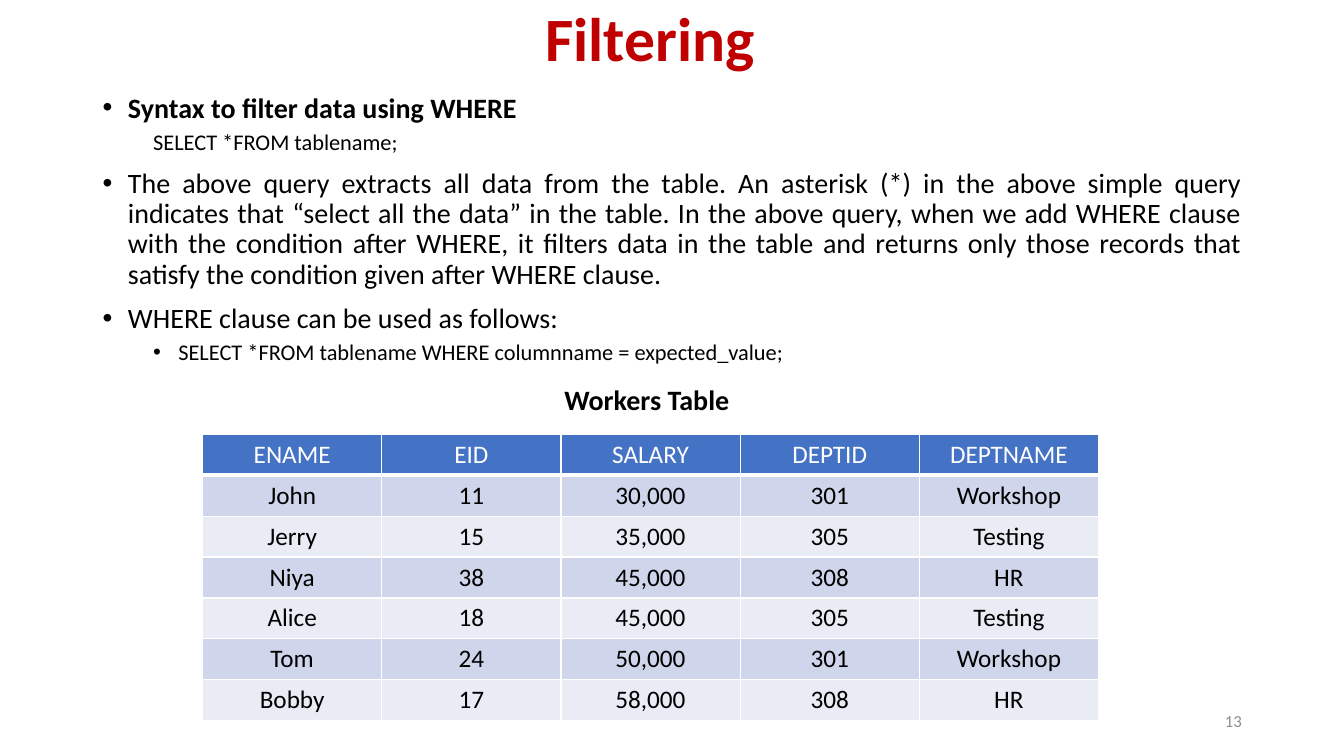
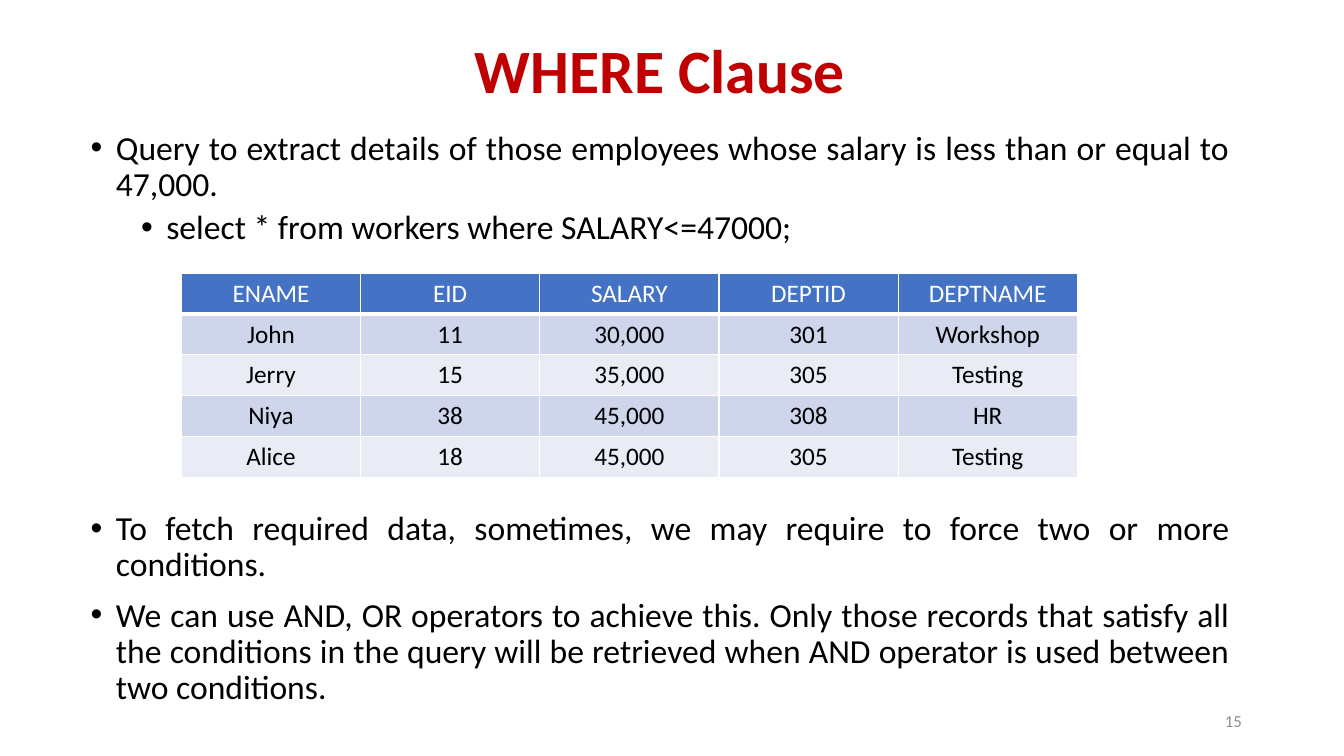
from dataclasses import dataclass

from lxml import etree
from pptx import Presentation
from pptx.dml.color import RGBColor
from pptx.enum.text import MSO_ANCHOR, MSO_AUTO_SIZE, PP_ALIGN
from pptx.oxml.ns import qn
from pptx.util import Pt

LEFT, CENTER, RIGHT = PP_ALIGN.LEFT, PP_ALIGN.CENTER, PP_ALIGN.RIGHT
JUSTIFY = PP_ALIGN.JUSTIFY
TOP, MIDDLE = MSO_ANCHOR.TOP, MSO_ANCHOR.MIDDLE
NO_FIT = MSO_AUTO_SIZE.NONE


# Theme
@dataclass(frozen=True)
class Theme:
    font: str = "Calibri"
    red: str = "C00000"
    ink: str = "000000"
    gray: str = "8C8C8C"
    white: str = "FFFFFF"
    head: str = "4472C4"
    bands: tuple = ("CFD5EA", "E9EBF5")
    title: int = 44
    large: int = 24
    text: int = 20
    cell: int = 18
    code: int = 16
    small: int = 12


THEME = Theme()


# Text and XML helpers
def set_mark(par, left, hang, mark):
    """Set the indent and bullet of a paragraph."""
    props = par._p.get_or_add_pPr()
    props.set("marL", str(Pt(left)))
    props.set("indent", str(Pt(-hang)))
    if mark:
        etree.SubElement(props, qn("a:buFont"), typeface="Arial")
        etree.SubElement(props, qn("a:buChar"), char="•")
    else:
        etree.SubElement(props, qn("a:buNone"))


def write(par, text, size=THEME.text, color=THEME.ink, bold=False,
          align=LEFT, line=None, before=0):
    par.alignment = align
    par.space_before = Pt(before)
    if line:
        par.line_spacing = line
    run = par.add_run()
    run.text = text
    font = run.font
    font.name, font.size, font.bold = THEME.font, Pt(size), bold
    font.color.rgb = RGBColor.from_string(color)


def set_edge(cell, side, width):
    props = cell._tc.get_or_add_tcPr()
    edge = etree.SubElement(props, qn(f"a:ln{side}"), w=str(Pt(width)))
    fill = etree.SubElement(edge, qn("a:solidFill"))
    etree.SubElement(fill, qn("a:srgbClr"), val=THEME.white)


def place(shape, left, top, width, height):
    shape.left, shape.top = Pt(left), Pt(top)
    shape.width, shape.height = Pt(width), Pt(height)


class Deck:
    WIDE = 828    # width of title and body
    COL, ROW = 128, 29.2
    STEP = 18     # indent unit

    def __init__(self):
        self.prs = Presentation()
        self.prs.slide_width, self.prs.slide_height = Pt(960), Pt(540)
        self.slide = None

    def start(self, title, left, top, number):
        self.slide = self.prs.slides.add_slide(self.prs.slide_layouts[1])
        shape = self.slide.shapes.title
        place(shape, left, top, self.WIDE, 104.4)
        frame = shape.text_frame
        frame.auto_size, frame.vertical_anchor = NO_FIT, MIDDLE
        write(frame.paragraphs[0], title, size=THEME.title, color=THEME.red,
              bold=True, align=CENTER, line=0.9)
        self.label(number, 678.2, 500.4, 216, 28.8, anchor=MIDDLE,
                   size=THEME.small, color=THEME.gray, align=RIGHT)

    def body(self, left, top, items):
        """Fill the body with (text, level, format) items."""
        shape = self.slide.placeholders[1]
        place(shape, left, top, self.WIDE, 342.7)
        frame = shape.text_frame
        frame.auto_size, frame.vertical_anchor = NO_FIT, TOP
        for i, (text, level, form) in enumerate(items):
            par = frame.add_paragraph() if i else frame.paragraphs[0]
            par.level = level
            form = {"before": 5 if level else 10, **form}
            if not i:
                form["before"] = 0
            mark = form.pop("mark", True)
            hang = self.STEP if mark else 0
            set_mark(par, self.STEP * 2 * level + hang, hang, mark)
            write(par, text, line=0.9, **form)

    def label(self, text, left, top, width, height, anchor=TOP, **form):
        box = self.slide.shapes.add_textbox(
            Pt(left), Pt(top), Pt(width), Pt(height))
        box.text_frame.word_wrap = True
        box.text_frame.vertical_anchor = anchor
        write(box.text_frame.paragraphs[0], text, **form)

    def table(self, left, top, rows):
        count, cols = len(rows), len(rows[0])
        table = self.slide.shapes.add_table(
            count, cols, Pt(left), Pt(top),
            Pt(self.COL * cols), Pt(self.ROW * count)).table
        for col in table.columns:
            col.width = Pt(self.COL)
        for r, row in enumerate(rows):
            table.rows[r].height = Pt(self.ROW)
            fill = THEME.bands[(r - 1) % 2] if r else THEME.head
            color = THEME.ink if r else THEME.white
            for c, text in enumerate(row):
                cell = table.cell(r, c)
                for side in "LRTB":
                    set_edge(cell, side, 1 if r or side != "B" else 3)
                cell.fill.solid()
                cell.fill.fore_color.rgb = RGBColor.from_string(fill)
                write(cell.text_frame.paragraphs[0], text, size=THEME.cell,
                      color=color, align=CENTER)


# Content
WORKERS = [
    ("ENAME", "EID", "SALARY", "DEPTID", "DEPTNAME"),
    ("John", "11", "30,000", "301", "Workshop"),
    ("Jerry", "15", "35,000", "305", "Testing"),
    ("Niya", "38", "45,000", "308", "HR"),
    ("Alice", "18", "45,000", "305", "Testing"),
    ("Tom", "24", "50,000", "301", "Workshop"),
    ("Bobby", "17", "58,000", "308", "HR"),
]
LARGE = {"size": THEME.large, "align": JUSTIFY}
CODE = {"size": THEME.code}

FILTER = [
    ("Syntax to filter data using WHERE", 0, {"bold": True, "align": JUSTIFY}),
    ("SELECT *FROM tablename;", 1, {**CODE, "mark": False}),
    ("The above query extracts all data from the table. An asterisk (*) in "
     "the above simple query indicates that “select all the data” in the "
     "table. In the above query, when we add WHERE clause with the condition "
     "after WHERE, it filters data in the table and returns only those "
     "records that satisfy the condition given after WHERE clause.",
     0, {"align": JUSTIFY}),
    ("WHERE clause can be used as follows:", 0, {}),
    ("SELECT *FROM tablename WHERE columnname = expected_value;", 1, CODE),
]
CLAUSE = [
    ("Query to extract details of those employees whose salary is less than "
     "or equal to 47,000.", 0, LARGE),
    ("select * from workers where SALARY<=47000;", 1, LARGE),
    # The space before leaves room for the table
    ("To fetch required data, sometimes, we may require to force two or more "
     "conditions.", 0, {**LARGE, "before": 189}),
    ("We can use AND, OR operators to achieve this. Only those records that "
     "satisfy all the conditions in the query will be retrieved when AND "
     "operator is used between two conditions.", 0, LARGE),
]


def main():
    deck = Deck()

    # Filtering
    deck.start("Filtering", 50.4, -22.3, "13")
    deck.body(66.2, 63.4, FILTER)
    deck.table(144.7, 310.3, WORKERS)
    deck.label("Workers Table", 396, 270, 136.8, 31.7, bold=True)

    # WHERE clause
    deck.start("WHERE Clause", 57.6, 0, "15")
    deck.body(57.6, 90, CLAUSE)
    deck.table(129.6, 195.1, WORKERS[:5])

    deck.prs.save("out.pptx")


if __name__ == "__main__":
    main()
